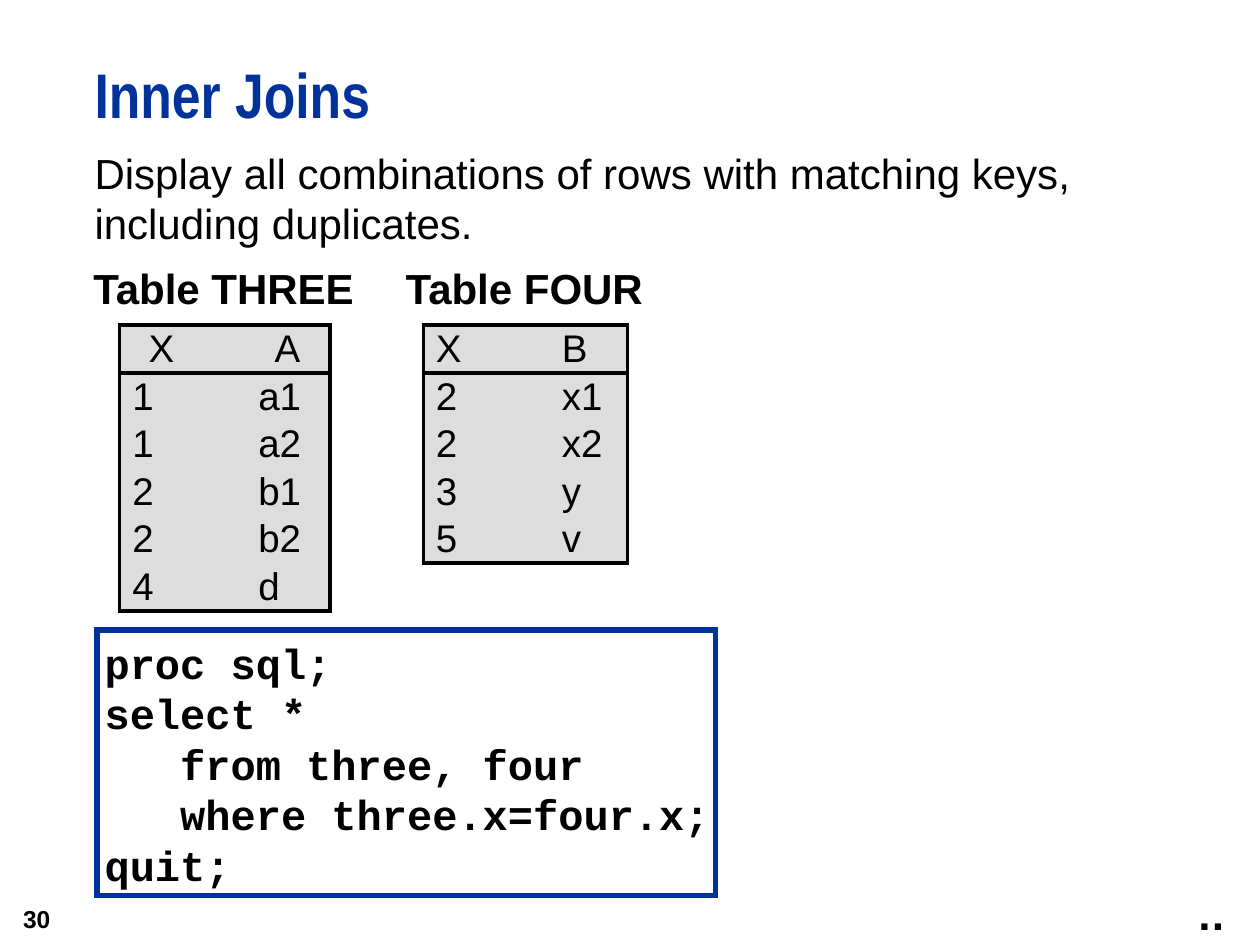
"""Build a slide that explains inner joins with two small tables and a query."""
from lxml import etree
from pptx import Presentation
from pptx.dml.color import RGBColor
from pptx.enum.shapes import MSO_CONNECTOR, MSO_SHAPE
from pptx.enum.text import MSO_ANCHOR, PP_ALIGN
from pptx.oxml.ns import qn
from pptx.util import Inches, Pt

RECTANGLE, STRAIGHT = MSO_SHAPE.RECTANGLE, MSO_CONNECTOR.STRAIGHT
TOP, MIDDLE = MSO_ANCHOR.TOP, MSO_ANCHOR.MIDDLE
LEFT, RIGHT = PP_ALIGN.LEFT, PP_ALIGN.RIGHT
BLUE = RGBColor(0x00, 0x33, 0x99)
BLACK = RGBColor(0x00, 0x00, 0x00)
WHITE = RGBColor(0xFF, 0xFF, 0xFF)
GRAY = RGBColor(0xDD, 0xDD, 0xDD)

TITLE = "Inner Joins"
INTRO = "Display all combinations of rows with matching keys, including duplicates."
QUERY = [
    "proc sql;",
    "select *",
    "   from three, four",
    "   where three.x=four.x;",
    "quit;",
]
TABLES = [
    {
        "caption": "Table FOUR", "caption_at": (3.22, 2.08, 1.91, 0.4),
        "place": (3.36, 2.58, 1.62, 1.89), "header_inset": 0.1,
        "rows": [("X", "B"), ("2", "x1"), ("2", "x2"), ("3", "y"), ("5", "v")],
    },
    {
        "caption": "Table THREE", "caption_at": (0.74, 2.08, 2.09, 0.4),
        "place": (0.95, 2.58, 1.67, 2.27), "header_inset": 0.23,
        "rows": [("X", "A"), ("1", "a1"), ("1", "a2"), ("2", "b1"), ("2", "b2"), ("4", "d")],
    },
]
HEADER_HEIGHT, KEY_WIDTH, CELL_INSET = 0.38, 1.0, 0.1
BORDER = Pt(2.25)


def write(frame, lines, size, font="Arial", color=BLACK, bold=False,
          align=LEFT, anchor=TOP, insets=(0, 0), wrap=True):
    """Fill a text frame with lines in one style."""
    frame.text = "\n".join(lines)
    frame.word_wrap = wrap
    frame.vertical_anchor = anchor
    frame.margin_left = frame.margin_right = Inches(insets[0])
    frame.margin_top = frame.margin_bottom = Inches(insets[1])
    for para in frame.paragraphs:
        para.alignment = align
        for span in para.runs:
            span.font.size = Pt(size)
            span.font.name = font
            span.font.bold = bold
            span.font.color.rgb = color


def add_text(page, place, text, size, **style):
    """Add a text box and return its frame."""
    frame = page.shapes.add_textbox(*map(Inches, place)).text_frame
    write(frame, [text], size, **style)
    return frame


def set_borders(cell, sides):
    """Draw black borders on the named sides and none on the others."""
    properties = cell._tc.get_or_add_tcPr()
    for position, side in enumerate(("lnL", "lnR", "lnT", "lnB")):
        line = etree.Element(qn(f"a:{side}"), w=str(BORDER))
        if side in sides:
            fill = etree.SubElement(line, qn("a:solidFill"))
            etree.SubElement(fill, qn("a:srgbClr"), val=str(BLACK))
        else:
            etree.SubElement(line, qn("a:noFill"))
        properties.insert(position, line)


def add_rule(page, left, top, width):
    """Add a horizontal black rule."""
    rule = page.shapes.add_connector(STRAIGHT, *map(Inches, (left, top, left + width, top)))
    rule.line.color.rgb = BLACK
    rule.line.width = BORDER
    etree.SubElement(rule._element.spPr, qn("a:effectLst"))


def add_data_table(page, data):
    """Add a captioned two-column table with a ruled header."""
    add_text(page, data["caption_at"], data["caption"], 24, bold=True, wrap=False)
    rows = data["rows"]
    left, top, width, height = data["place"]
    body_height = (height - HEADER_HEIGHT) / (len(rows) - 1)
    table = page.shapes.add_table(len(rows), 2, *map(Inches, data["place"])).table
    table.columns[0].width = Inches(KEY_WIDTH)
    table.columns[1].width = Inches(width - KEY_WIDTH)
    for index, values in enumerate(rows):
        table.rows[index].height = Inches(body_height if index else HEADER_HEIGHT)
        for column, value in enumerate(values):
            cell = table.cell(index, column)
            write(cell.text_frame, [value], 22)
            cell.vertical_anchor = MIDDLE
            cell.margin_left = Inches(CELL_INSET if index else data["header_inset"])
            cell.margin_right = cell.margin_top = cell.margin_bottom = 0
            cell.fill.solid()
            cell.fill.fore_color.rgb = GRAY
            sides = {"lnR" if column else "lnL"}
            if index == 0:
                sides.add("lnT")
            if index == len(rows) - 1:
                sides.add("lnB")
            set_borders(cell, sides)
    add_rule(page, left, top + HEADER_HEIGHT, width)


def add_query(page):
    """Add the framed query."""
    box = page.shapes.add_shape(RECTANGLE, *map(Inches, (0.77, 5, 4.91, 2.11)))
    box.shadow.inherit = False
    box.fill.solid()
    box.fill.fore_color.rgb = WHITE
    box.line.color.rgb = BLUE
    box.line.width = Pt(3)
    etree.SubElement(box.line._get_or_add_ln(), qn("a:miter"), lim="800000")
    write(box.text_frame, QUERY, 24, font="Courier New", bold=True,
          insets=(0.06, 0.06), wrap=False)


def main():
    """Build and save the deck."""
    deck = Presentation()
    deck.slide_width, deck.slide_height = Inches(10), Inches(7.5)
    page = deck.slides.add_slide(deck.slide_layouts[5])
    title = page.shapes.title
    title.left, title.top, title.width, title.height = map(Inches, (0.75, 0.5, 9.25, 0.75))
    write(title.text_frame, [TITLE], 36, font="Arial Narrow", color=BLUE, bold=True)
    title.text_frame.paragraphs[0].line_spacing = Pt(39)
    intro = add_text(page, (0.75, 1.17, 8.58, 4.67), INTRO, 24)
    intro.paragraphs[0].space_before = Pt(6)
    add_query(page)
    add_text(page, (9.41, 7.06, 0.44, 0.44), "...", 20, font="DejaVu Sans",
             bold=True, insets=(0.1, 0.05), wrap=False)
    for data in TABLES:
        add_data_table(page, data)
    number = add_text(page, (0, 7.08, 0.58, 0.42), "30", 14, bold=True, align=RIGHT,
                      anchor=MIDDLE, insets=(0.1, 0.05))
    number.margin_right = Inches(0.18)
    deck.save("out.pptx")


if __name__ == "__main__":
    main()
